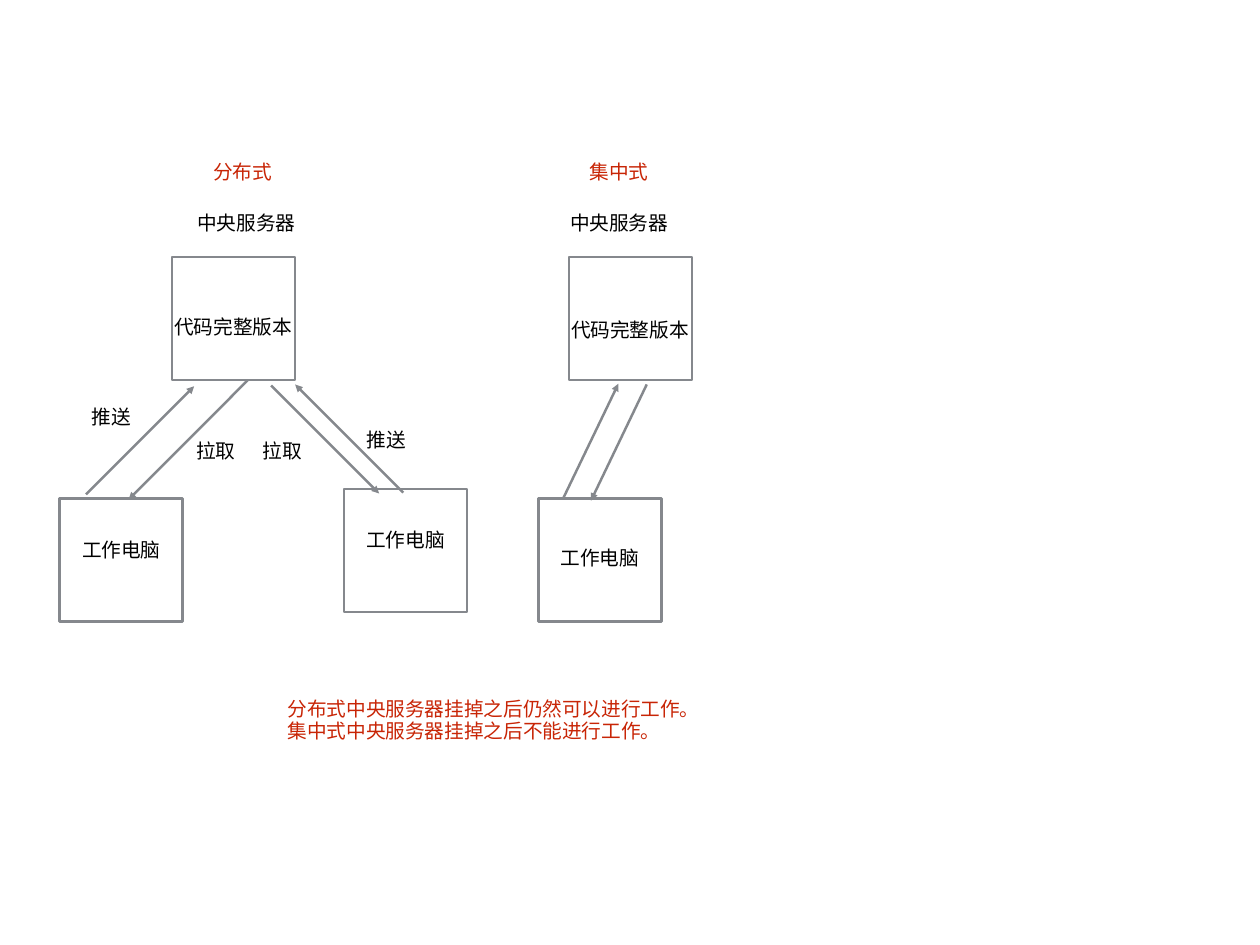
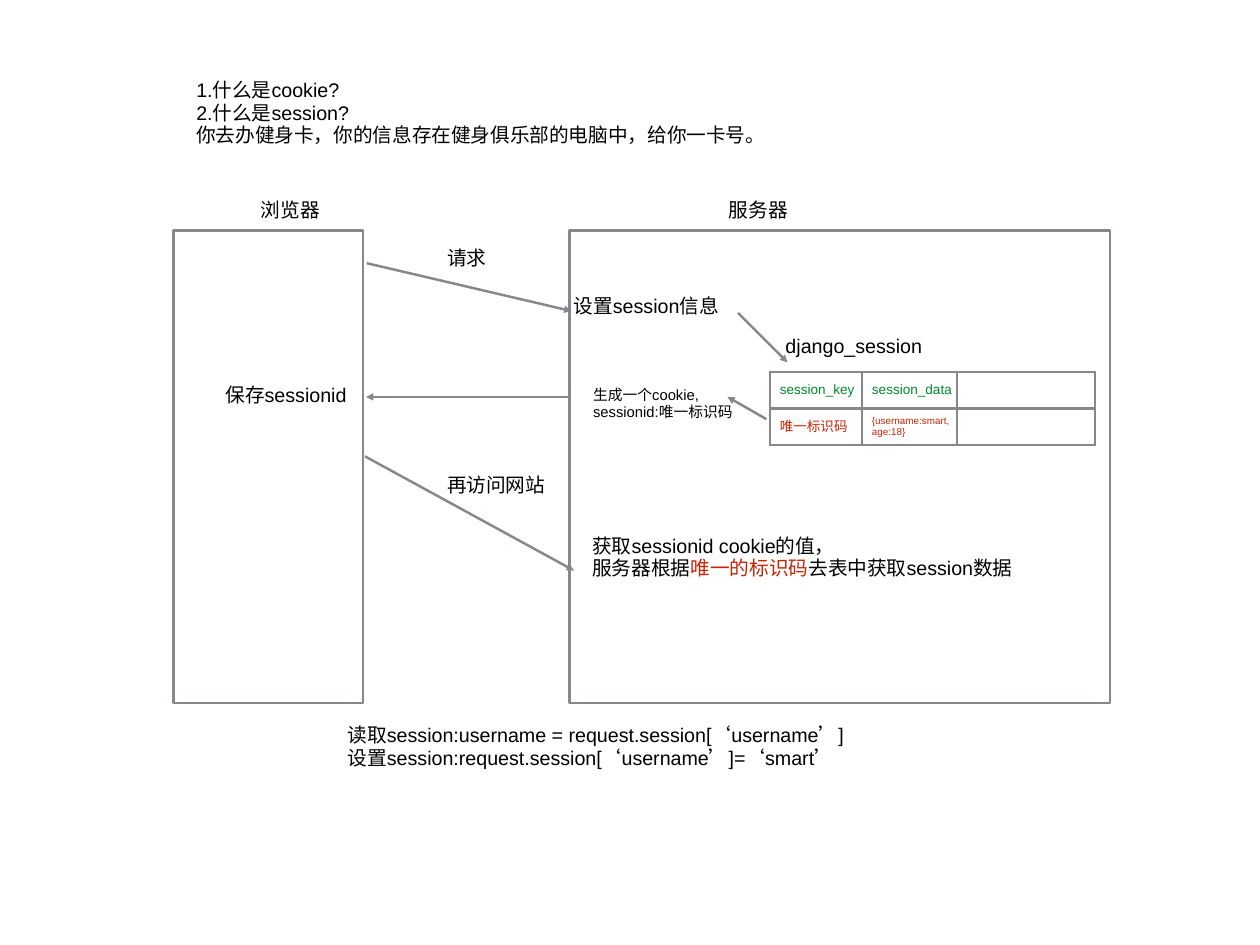
"""Two diagrams: version control layouts and the path of a session."""
from lxml.etree import SubElement as Sub
from pptx import Presentation
from pptx.dml.color import RGBColor as RGB
from pptx.enum.shapes import MSO_CONNECTOR as Link, MSO_SHAPE as Shape
from pptx.enum.text import MSO_ANCHOR as Anchor, MSO_AUTO_SIZE as Fit, PP_ALIGN as Align
from pptx.oxml.ns import qn
from pptx.util import Inches, Pt

WIDE, HIGH = Inches(14.22), Inches(10.66)
COLS, ROWS = 64, 48
BLACK = RGB(0x00, 0x00, 0x00)
GRAY = RGB(0x85, 0x88, 0x8D)
RED = RGB(0xC8, 0x25, 0x06)
GREEN = RGB(0x00, 0x88, 0x2B)
FONT = "Arial"
STROKE = Pt(2)
PAD = 0.25
SIDE = 6.25


def across(cols):
    return round(WIDE * cols / COLS)


def down(rows):
    return round(HIGH * rows / ROWS)


def area(left, top, width, height):
    return across(left), down(top), across(width), down(height)


def write(frame, lines, size=16, color=BLACK, plain=False):
    for spot, line in enumerate(lines):
        para = frame.paragraphs[0] if spot == 0 else frame.add_paragraph()
        if plain:
            props = para._p.get_or_add_pPr()
            props.set("marL", "0")
            props.set("indent", "0")
            Sub(props, qn("a:buNone"))
        para.alignment = Align.LEFT
        para.line_spacing = 0.9
        para.space_before = Pt(1 if spot else 0)
        for words, tint in ([(line, color)] if isinstance(line, str) else line):
            run = para.add_run()
            run.text = words
            run.font.name = FONT
            run.font.size = Pt(size)
            run.font.color.rgb = tint


class Deck:
    def __init__(self):
        self.show = Presentation()
        self.show.slide_width, self.show.slide_height = WIDE, HIGH
        self.page = None

    def start(self):
        self.page = self.show.slides.add_slide(self.show.slide_layouts[1])
        title = self.page.shapes.title._element
        title.getparent().remove(title)

    def fill(self, shape, lines, left, top, width=None, size=16, **form):
        width = width or len(lines[0]) + 2 * PAD
        height = 0.45 + 1.13 * len(lines) * size / 16
        shape.left, shape.top, shape.width, shape.height = area(left, top, width, height)
        frame = shape.text_frame
        frame.margin_left = frame.margin_right = across(PAD)
        frame.margin_top = frame.margin_bottom = down(PAD)
        frame.vertical_anchor = Anchor.MIDDLE
        frame.word_wrap = False
        frame.auto_size = Fit.SHAPE_TO_FIT_TEXT
        write(frame, lines, size=size, **form)

    def label(self, lines, left, top, **form):
        lines = [lines] if isinstance(lines, str) else lines
        self.fill(self.page.shapes.add_textbox(0, 0, 0, 0), lines, left, top, **form)

    def body(self, lines, left, top, **form):
        self.fill(self.page.placeholders[1], lines, left, top, plain=True, **form)

    def box(self, left, top, width=SIDE, height=SIDE):
        box = self.page.shapes.add_shape(Shape.RECTANGLE, *area(left, top, width, height))
        box.shadow.inherit = False
        box.fill.background()
        box.line.color.rgb = GRAY
        box.line.width = STROKE

    def arrow(self, left, top, right, base):
        ends = across(left), down(top), across(right), down(base)
        arrow = self.page.shapes.add_connector(Link.STRAIGHT, *ends)
        arrow.line.color.rgb = GRAY
        arrow.line.width = STROKE
        Sub(arrow.line._get_or_add_ln(), qn("a:tailEnd"), type="triangle")
        Sub(arrow._element.spPr, qn("a:effectLst"))

    def table(self, left, top, widths, height, cells):
        place = area(left, top, sum(widths), height * len(cells))
        table = self.page.shapes.add_table(len(cells), len(widths), *place).table
        table.first_row = table.horz_banding = False
        for col, width in zip(table.columns, widths):
            col.width = across(width)
        for row, texts in zip(table.rows, cells):
            row.height = down(height)
            for cell, (lines, form) in zip(row.cells, texts):
                self.frame(cell)
                write(cell.text_frame, lines, **form)

    def frame(self, cell):
        cell.margin_left = across(0.5)
        cell.margin_right = cell.margin_top = cell.margin_bottom = 0
        cell.vertical_anchor = Anchor.MIDDLE
        props = cell._tc.get_or_add_tcPr()
        for edge in "LRTB":
            line = Sub(props, qn("a:ln" + edge), w=str(STROKE))
            Sub(Sub(line, qn("a:solidFill")), qn("a:srgbClr"), val=str(GRAY))
        cell.fill.background()


def control(deck):
    deck.start()
    for left, top in ((8.73, 13.05), (28.89, 13.05),
                      (3.02, 25.33), (17.46, 24.84), (27.36, 25.33)):
        deck.box(left, top)
    for text, left, top in (
            ("中央服务器", 9.77, 10.58), ("中央服务器", 28.71, 10.58),
            ("代码完整版本", 8.6, 15.89), ("代码完整版本", 28.76, 16.02),
            ("工作电脑", 3.92, 27.18), ("工作电脑", 18.36, 26.69),
            ("工作电脑", 28.22, 27.63),
            ("推送", 4.41, 20.43), ("推送", 18.36, 21.6),
            ("拉取", 9.72, 22.19), ("拉取", 13.1, 22.19)):
        deck.label(text, left, top)
    for text, left in (("分布式", 10.58), ("集中式", 29.7)):
        deck.label(text, left, 8, color=RED)
    for ends in ((4.37, 25.11, 9.86, 19.62), (12.6, 19.3, 6.53, 25.38),
                 (13.77, 19.58, 19.26, 25.07), (20.48, 25.02, 14.99, 19.53),
                 (28.62, 25.29, 31.41, 19.49), (32.85, 19.53, 30.02, 25.43)):
        deck.arrow(*ends)
    deck.body(["分布式中央服务器挂掉之后仍然可以进行工作。",
               "集中式中央服务器挂掉之后不能进行工作。"],
              14.36, 35.28, width=21.47, color=RED)


def session(deck):
    deck.start()
    deck.body(["1.什么是cookie?", "2.什么是session?",
               "你去办健身卡，你的信息存在健身俱乐部的电脑中，给你一卡号。"],
              9.72, 3.87, width=29.43)
    for left, width in ((8.82, 9.63), (28.94, 27.45)):
        deck.box(left, 11.7, width, 24)
    for text, left, top in (("浏览器", 13, 9.95), ("服务器", 36.77, 9.95),
                            ("请求", 22.46, 12.38), ("再访问网站", 22.46, 23.9)):
        deck.label(text, left, top)
    for text, left, top, width in (
            ("设置session信息", 28.89, 14.8, 8.46),
            ("django_session", 39.65, 16.83, 7.7),
            ("保存sessionid", 11.2, 19.35, 7.07),
            (["获取sessionid cookie的值，",
              [("服务器根据", BLACK), ("唯一的标识码", RED),
               ("去表中获取session数据", BLACK)]], 29.84, 27, 22.41),
            (["读取session:username = request.session[‘username’]",
              "设置session:request.session[‘username’]=‘smart’"],
             17.41, 36.63, 28.21)):
        deck.label(text, left, top, width=width)
    deck.label(["生成一个cookie,", "sessionid:唯一标识码"],
               29.88, 19.44, width=7.92, size=12)
    head = {"size": 11, "color": GREEN}
    blank = ([], {})
    deck.table(39.11, 18.9, (4.68, 4.82, 7.02), 1.85, (
        ((["session_key"], head), (["session_data"], head), blank),
        ((["唯一标识码"], {"size": 11, "color": RED}),
         (["{username:smart,", "age:18}"], {"size": 8, "color": RED}), blank)))
    for ends in ((18.63, 13.37, 29.03, 15.8), (37.49, 15.89, 40, 18.41),
                 (38.93, 21.29, 36.95, 20.16), (28.85, 20.16, 18.59, 20.16),
                 (18.54, 23.18, 29.16, 28.98)):
        deck.arrow(*ends)


def main():
    deck = Deck()
    control(deck)
    session(deck)
    deck.show.save("out.pptx")


if __name__ == "__main__":
    main()
